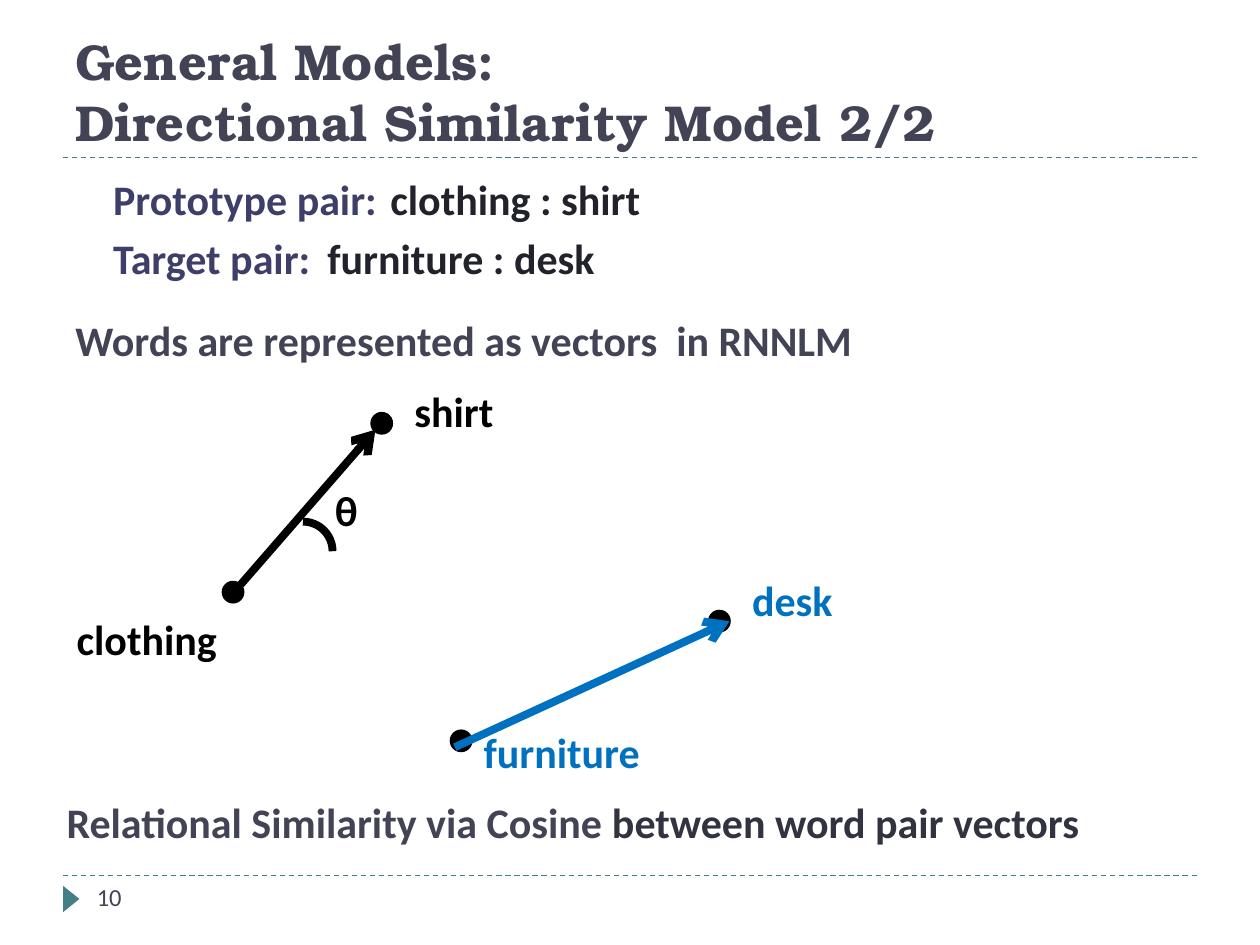
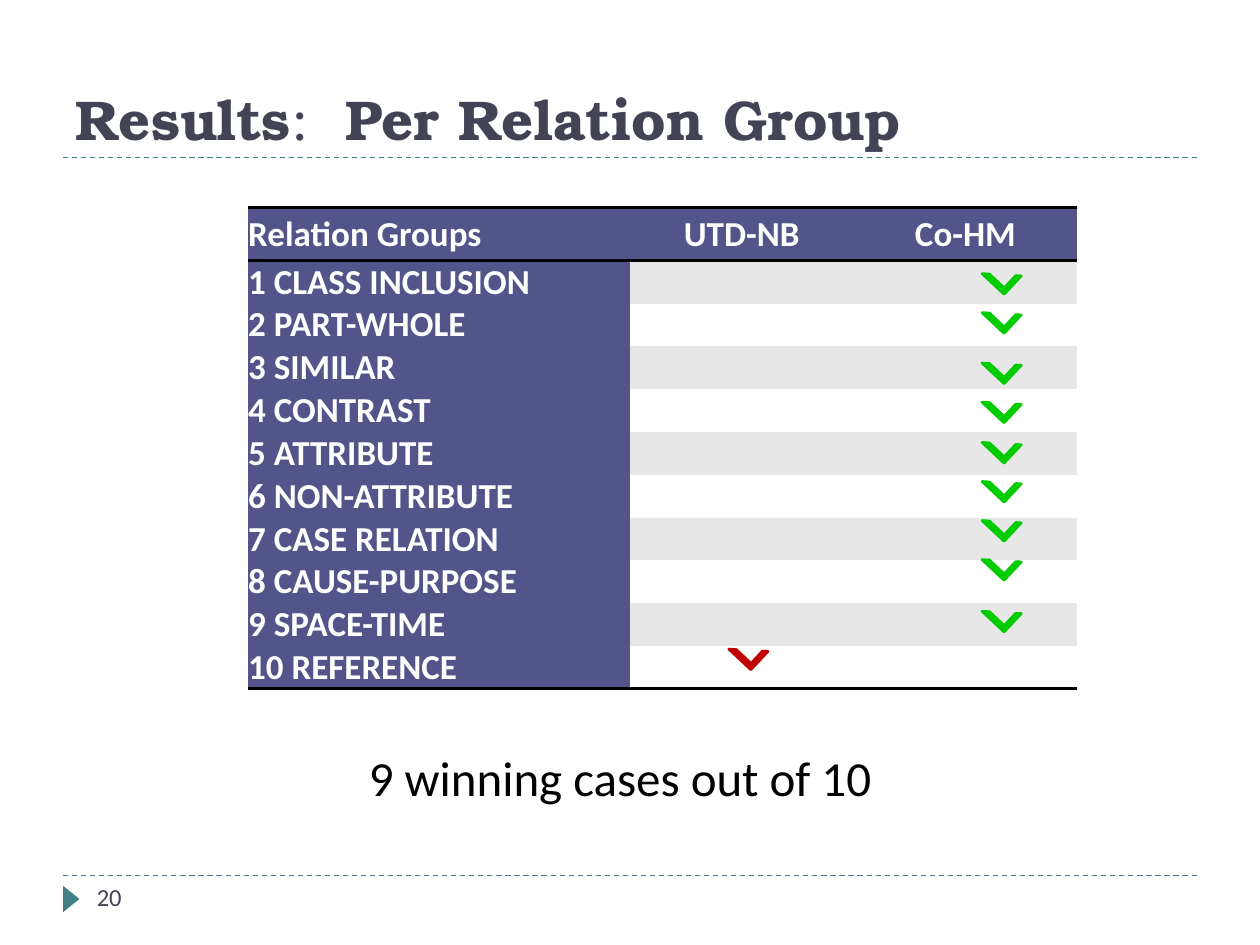
from dataclasses import dataclass

from lxml.etree import SubElement
from pptx import Presentation
from pptx.dml.color import RGBColor
from pptx.enum.dml import MSO_LINE
from pptx.enum.shapes import MSO_CONNECTOR, MSO_SHAPE
from pptx.enum.text import MSO_ANCHOR, PP_ALIGN
from pptx.oxml.ns import qn
from pptx.util import Inches, Pt

COLOURS = {
    "accent": "438086",
    "title": "424456",
    "label": "3E3F68",
    "pair": "21222B",
    "closing": "323341",
    "black": "000000",
    "white": "FFFFFF",
    "blue": "0070C0",
    "header": "53548A",
    "band": "E7E7E7",
    "win": "00CC00",
    "loss": "C00000",
}
TITLE_FONT = "TeX Gyre Bonum"
BODY_FONT = "Calibri"
COLUMNS, ROWS = 100, 75
UNIT = Inches(10) // COLUMNS
NO_STYLE = "{2D5ABB26-0587-4C30-8999-92F81FD0307C}"
LINE_BREAK = "\v"


@dataclass
class Box:
    column: float
    row: float
    columns: float
    rows: float

    def inner(self, column, row, columns, rows):
        return Box(self.column + column, self.row + row, columns, rows)

    def point(self, column, row):
        return grid(self.column + column), grid(self.row + row)

    def place(self):
        return [grid(length) for length in (self.column, self.row, self.columns, self.rows)]


def grid(units):
    return round(units * UNIT)


def colour(name):
    return RGBColor.from_string(COLOURS[name])


def style_run(run, size, colour_name, bold=False, font=BODY_FONT):
    run.font.name = font
    run.font.size = Pt(size)
    run.font.bold = bold
    run.font.color.rgb = colour(colour_name)


def fill_paragraph(paragraph, pieces, size, font=BODY_FONT):
    for text, colour_name, bold in pieces:
        if text == LINE_BREAK:
            paragraph.add_line_break()
            continue
        run = paragraph.add_run()
        run.text = text
        style_run(run, size, colour_name, bold, font)


def add_text(slide, box, pieces, size, font=BODY_FONT, anchor=MSO_ANCHOR.TOP, align=PP_ALIGN.LEFT):
    text_frame = slide.shapes.add_textbox(*box.place()).text_frame
    text_frame.word_wrap = True
    text_frame.vertical_anchor = anchor
    paragraph = text_frame.paragraphs[0]
    paragraph.alignment = align
    fill_paragraph(paragraph, pieces, size, font)
    return text_frame


def add_solid(slide, kind, box, colour_name, outline=1.5, rotation=0):
    shape = slide.shapes.add_shape(kind, *box.place())
    shape.shadow.inherit = False
    shape.rotation = rotation
    shape.fill.solid()
    shape.fill.fore_color.rgb = colour(colour_name)
    if outline:
        shape.line.color.rgb = colour(colour_name)
        shape.line.width = Pt(outline)
    else:
        shape.line.fill.background()
    return shape


def add_line(slide, start, end, colour_name, width, dash=None, arrow=False):
    connector = slide.shapes.add_connector(MSO_CONNECTOR.STRAIGHT, *start, *end)
    connector.line.color.rgb = colour(colour_name)
    connector.line.width = Pt(width)
    if dash:
        connector.line.dash_style = dash
    if arrow:
        SubElement(connector.line._get_or_add_ln(), qn("a:tailEnd"), type="arrow")
    SubElement(connector._element.spPr, qn("a:effectLst"))


def add_frame(slide, box, title_pieces, title_size, number):
    for row in (69.5, 12.5):
        add_line(slide, box.point(5, row), box.point(95, row), "accent", 0.75, MSO_LINE.DASH)
    add_solid(slide, MSO_SHAPE.ISOSCELES_TRIANGLE, box.inner(4.6, 70.7, 2.1, 1.3), "accent", 0, 90)
    add_text(slide, box.inner(5, 1.7, 90, 10.8), title_pieces, title_size,
             TITLE_FONT, MSO_ANCHOR.BOTTOM)
    add_text(slide, box.inner(6.7, 69.5, 21.7, 4), [(str(number), "title", False)], 14)


def add_word_pairs(slide, box):
    pairs = [("Prototype pair:", "clothing : shirt"), ("Target pair:", "furniture : desk")]
    statement = "Words are represented as vectors  in RNNLM"
    text_frame = add_text(slide, box, [], 24)
    for index, (label, pair) in enumerate(pairs):
        paragraph = text_frame.paragraphs[0] if index == 0 else text_frame.add_paragraph()
        paragraph.space_before = Pt(5)
        fill_paragraph(paragraph, [(label + "\t", "label", True), (pair, "pair", True)], 24)
        properties = paragraph._p.get_or_add_pPr()
        properties.set("marL", "0")
        properties.set("indent", str(grid(3)))
        tabs = SubElement(properties, qn("a:tabLst"))
        SubElement(tabs, qn("a:tab"), pos=str(grid(51.8)), algn="ctr")
    paragraph = text_frame.add_paragraph()
    paragraph.space_before = Pt(18)
    fill_paragraph(paragraph, [(statement, "title", True)], 24)


def add_vector_diagram(slide, box):
    dots = [(12.6, 16.1), (24.4, 2.7), (30.7, 27.9), (51.2, 18.4)]
    labels = [
        ("clothing", "black", 0, 18.1, 18.1),
        ("shirt", "black", 26.8, 0, 12.6),
        ("furniture", "blue", 32.3, 27.1, 18.1),
        ("desk", "blue", 53.6, 15, 18.1),
        ("θ", "black", 20.5, 7.9, 5.5),
    ]
    arrows = [
        ("black", (14, 16.3), (24.7, 4)),
        ("blue", (31, 29.2), (52.8, 19.2)),
    ]
    for column, row in dots:
        add_solid(slide, MSO_SHAPE.OVAL, box.inner(column, row, 1.6, 1.6), "black")
    for word, colour_name, column, row, columns in labels:
        add_text(slide, box.inner(column, row, columns, 5), [(word, colour_name, True)], 24)
    for colour_name, start, end in arrows:
        add_line(slide, box.point(*start), box.point(*end), colour_name, 4.5, arrow=True)
    angle = add_solid(slide, MSO_SHAPE.ARC, box.inner(16.6, 11.3, 4.7, 4.7), "black", 4.5)
    angle.fill.background()


def add_border(cell, side):
    line = SubElement(cell._tc.get_or_add_tcPr(), qn("a:" + side), w=str(Pt(2)))
    SubElement(SubElement(line, qn("a:solidFill")), qn("a:srgbClr"), val=COLOURS["black"])


def add_results_table(slide, box):
    headings = ["Relation Groups", "UTD-NB", "Co-HM"]
    groups = ["CLASS INCLUSION", "PART-WHOLE", "SIMILAR", "CONTRAST", "ATTRIBUTE", "NON-ATTRIBUTE",
              "CASE RELATION", "CAUSE-PURPOSE", "SPACE-TIME", "REFERENCE"]
    contents = [headings] + [[f"{number} {group}", "", ""] for number, group in enumerate(groups, 1)]
    last = len(groups)
    table = slide.shapes.add_table(len(contents), len(headings), *box.place()).table
    table._tbl.tblPr.find(qn("a:tableStyleId")).text = NO_STYLE
    for column, columns in zip(table.columns, (30.3, 17.75, 17.75)):
        column.width = grid(columns)
    for row_index, texts in enumerate(contents):
        table.rows[row_index].height = grid(3.4 if row_index else 4.2)
        for column_index, text in enumerate(texts):
            cell = table.cell(row_index, column_index)
            cell.margin_left = cell.margin_right = cell.margin_top = cell.margin_bottom = 0
            cell.vertical_anchor = MSO_ANCHOR.MIDDLE
            if row_index == 0:
                add_border(cell, "lnT")
            if row_index in (0, last):
                add_border(cell, "lnB")
            heading = row_index == 0 or column_index == 0
            body_fill = "band" if row_index % 2 else "white"
            cell.fill.solid()
            cell.fill.fore_color.rgb = colour("header" if heading else body_fill)
            paragraph = cell.text_frame.paragraphs[0]
            paragraph.text = text
            if column_index:
                paragraph.alignment = PP_ALIGN.CENTER
            for run in paragraph.runs:
                style_run(run, 20, "white", True)


def add_check_marks(slide, box):
    rows = [4.3, 7.4, 11.4, 14.5, 17.7, 20.8, 23.9, 27, 31.1, 34.1]
    last = len(rows) - 1
    for index, row in enumerate(rows):
        column, colour_name = (38.5, "loss") if index == last else (58.6, "win")
        mark = add_solid(slide, MSO_SHAPE.HALF_FRAME, box.inner(column, row, 2.4, 2),
                         colour_name, rotation=223.1)
        mark.adjustments[0] = 0.19
        mark.adjustments[1] = 0.17


def build_model_slide(slide, box):
    title = [("General Models:", "title", True), (LINE_BREAK, "title", True),
             ("Directional Similarity Model 2/2", "title", True)]
    closing = [("Relational Similarity via Cosine ", "title", True),
               ("between word pair vectors", "closing", True)]
    add_frame(slide, box, title, 28.8, 10)
    add_word_pairs(slide, box.inner(5, 13.3, 90, 54))
    add_vector_diagram(slide, box.inner(5.1, 30.1, 72, 32.1))
    add_text(slide, box.inner(4.3, 62.7, 93.7, 5), closing, 24)


def build_results_slide(slide, box):
    title = [("Results", "title", True), (":  ", "title", False),
             ("Per Relation Group", "title", True)]
    table_box = box.inner(19.7, 16.5, 65.8, 38.2)
    add_frame(slide, box, title, 32, 20)
    add_results_table(slide, table_box)
    add_check_marks(slide, table_box)
    add_text(slide, box.inner(15.5, 58.8, 68.3, 5.7),
             [("9 winning cases out of 10 ", "black", False)], 28, align=PP_ALIGN.CENTER)


def main():
    presentation = Presentation()
    presentation.slide_width = grid(COLUMNS)
    presentation.slide_height = grid(ROWS)
    page = Box(0, 0, COLUMNS, ROWS)
    for build in (build_model_slide, build_results_slide):
        build(presentation.slides.add_slide(presentation.slide_layouts[6]), page)
    presentation.save("out.pptx")


if __name__ == "__main__":
    main()
